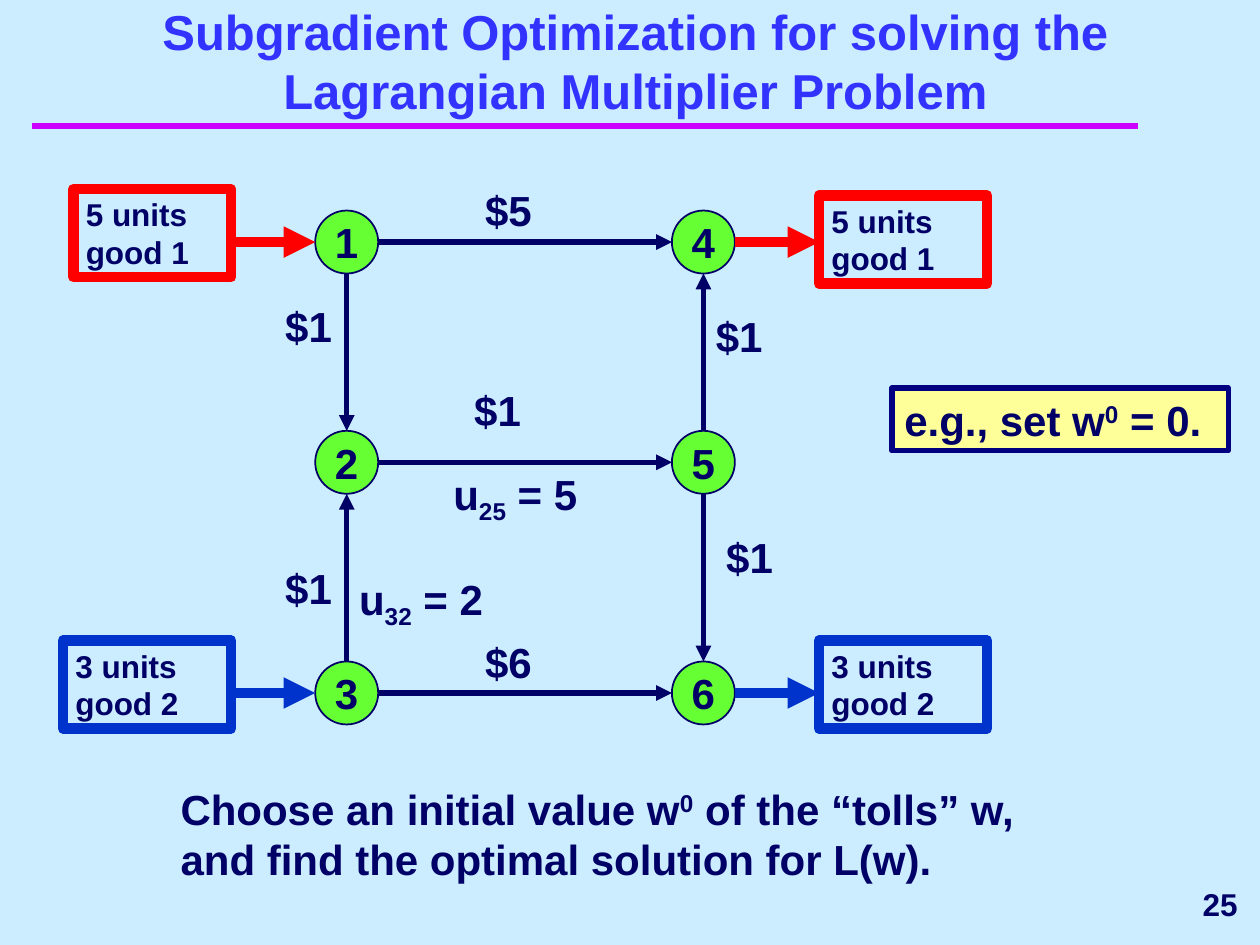
from dataclasses import dataclass
from typing import NamedTuple

from lxml.etree import SubElement
from pptx import Presentation
from pptx.dml.color import RGBColor
from pptx.enum.shapes import MSO_CONNECTOR, MSO_SHAPE
from pptx.enum.text import MSO_ANCHOR, MSO_AUTO_SIZE, PP_ALIGN
from pptx.oxml.ns import qn
from pptx.util import Cm, Pt


@dataclass(frozen=True)
class Theme:
    font: str = "Arial"
    back: str = "CCECFF"
    ink: str = "000066"
    head: str = "3333FF"
    rule: str = "CC00FF"
    node: str = "66FF33"
    note: str = "FFFF99"
    edge: str = "000080"
    red: str = "FF0000"
    blue: str = "0033CC"
    title: int = 28
    body: int = 24
    small: int = 18


class Box(NamedTuple):
    left: float
    top: float
    width: float
    height: float


class Label(NamedTuple):
    box: Box
    texts: tuple[str, ...]
    shift: int = 0


class Flow(NamedTuple):
    """Supply or demand: its box, its arrow and its colour."""
    box: Box
    text: str
    start: float
    row: float
    color: str


THEME = Theme()
SIZE = 1.27
HALF = SIZE / 2
COLS = (6.99, 14.18)
ROWS = (4.88, 9.32, 13.97)
NODES = {str(3 * c + r + 1): (x, y)
         for c, x in enumerate(COLS) for r, y in enumerate(ROWS)}
ARCS = ("12", "32", "25", "14", "54", "56", "36")
REACH = 1.7
LABELS = (
    Label(Box(9.53, 3.6, 1.7, SIZE), ("$5",)),
    Label(Box(9.31, 7.62, 2.96, SIZE), ("$1",)),
    Label(Box(9.53, 12.7, 1.48, SIZE), ("$6",)),
    Label(Box(5.5, 11.22, 1.48, SIZE), ("$1",)),
    Label(Box(5.5, 5.93, 1.48, SIZE), ("$1",)),
    Label(Box(14.18, 6.14, 1.7, SIZE), ("$1",)),
    Label(Box(14.39, 10.58, 1.48, SIZE), ("$1",)),
    Label(Box(8.89, 9.31, 4.87, 1.42), ("u", "25", " = 5"), -25),
    Label(Box(6.99, 11.43, 4.87, 1.42), ("u", "32", " = 2"), -25),
    Label(Box(3.39, 15.66, 18.84, 2.29),
          ("Choose an initial value w", "0",
           " of the “tolls” w, and find the optimal solution for L(w)."), 30),
)
IN, OUT = COLS[0] - HALF - REACH, COLS[1] + HALF
FLOWS = (
    Flow(Box(1.48, 3.81, 3.18, 1.78), "5 units good 1", IN, ROWS[0], THEME.red),
    Flow(Box(16.51, 3.94, 3.39, 1.78), "5 units good 1", OUT, ROWS[0], THEME.red),
    Flow(Box(1.27, 12.91, 3.39, 1.78), "3 units good 2", IN, ROWS[2], THEME.blue),
    Flow(Box(16.51, 12.91, 3.39, 1.78), "3 units good 2", OUT, ROWS[2], THEME.blue),
)


def rgb(code: str) -> RGBColor:
    return RGBColor.from_string(code)


def apply(item, values: dict) -> None:
    for name, value in values.items():
        setattr(item, name, value)


def write(shape, texts: tuple[str, ...], size: int = THEME.body,
          color: str = THEME.ink, align=PP_ALIGN.LEFT,
          anchor=MSO_ANCHOR.TOP, wrap: bool = True, shift: int = 0) -> None:
    """Write the texts as runs; every second one is raised by shift percent."""
    frame = shape.text_frame
    apply(frame, {"auto_size": MSO_AUTO_SIZE.NONE, "word_wrap": wrap,
                  "vertical_anchor": anchor})
    para = frame.paragraphs[0]
    para.alignment = align
    for index, text in enumerate(texts):
        run = para.add_run()
        run.text = text
        apply(run.font, {"name": THEME.font, "size": Pt(size), "bold": True})
        run.font.color.rgb = rgb(color)
        if index % 2:
            run.font._element.set("baseline", str(shift * 1000))


def place(box: Box) -> list[Cm]:
    return [Cm(value) for value in box]


def draw_line(slide, start: tuple, end: tuple, color: str, width: float,
              arrow: bool = True) -> None:
    line = slide.shapes.add_connector(
        MSO_CONNECTOR.STRAIGHT, *[Cm(value) for value in (*start, *end)])
    line.line.color.rgb = rgb(color)
    line.line.width = Pt(width)
    props = line._element.spPr
    if arrow:
        SubElement(props.get_or_add_ln(), qn("a:tailEnd"), type="triangle")
    SubElement(props, qn("a:effectLst"))


def draw_shape(slide, kind, box: Box, edge: str, width: float,
               fill: str | None = None):
    shape = slide.shapes.add_shape(kind, *place(box))
    shape.shadow.inherit = False
    if fill:
        shape.fill.solid()
        shape.fill.fore_color.rgb = rgb(fill)
    else:
        shape.fill.background()
    shape.line.color.rgb = rgb(edge)
    shape.line.width = Pt(width)
    return shape


def draw_text(slide, label: Label, **style) -> None:
    shape = slide.shapes.add_textbox(*place(label.box))
    write(shape, label.texts, shift=label.shift, **style)


def draw_node(slide, name: str, x: float, y: float) -> None:
    disc = draw_shape(slide, MSO_SHAPE.OVAL, Box(x - HALF, y - HALF, SIZE, SIZE),
                      THEME.ink, 1, THEME.node)
    write(disc, (name,), align=PP_ALIGN.CENTER, anchor=MSO_ANCHOR.MIDDLE,
          wrap=False)


def draw_arc(slide, tail: str, head: str) -> None:
    """Join two nodes of one row or column from rim to rim."""
    (x1, y1), (x2, y2) = NODES[tail], NODES[head]
    dx = HALF * ((x2 > x1) - (x2 < x1))
    dy = HALF * ((y2 > y1) - (y2 < y1))
    draw_line(slide, (x1 + dx, y1 + dy), (x2 - dx, y2 - dy), THEME.ink, 3)


def draw_flow(slide, flow: Flow) -> None:
    draw_line(slide, (flow.start, flow.row), (flow.start + REACH, flow.row),
              flow.color, 6)
    frame = draw_shape(slide, MSO_SHAPE.RECTANGLE, flow.box, flow.color, 6)
    write(frame, (flow.text,), THEME.small)


def main() -> None:
    deck = Presentation()
    apply(deck, {"slide_width": Cm(25.4), "slide_height": Cm(19.05)})
    slide = deck.slides.add_slide(deck.slide_layouts[5])
    slide.background.fill.solid()
    slide.background.fill.fore_color.rgb = rgb(THEME.back)

    title = slide.shapes.title
    apply(title, dict(zip(Box._fields, place(Box(1.06, 1.48, 23.5, 1.06)))))
    write(title, ("Subgradient Optimization for solving the "
                  "Lagrangian Multiplier Problem",), THEME.title, THEME.head,
          PP_ALIGN.CENTER, MSO_ANCHOR.BOTTOM)
    draw_line(slide, (0.64, 2.54), (22.94, 2.54), THEME.rule, 4, arrow=False)

    for name, (x, y) in NODES.items():
        draw_node(slide, name, x, y)
    for tail, head in ARCS:
        draw_arc(slide, tail, head)
    for flow in FLOWS:
        draw_flow(slide, flow)
    for label in LABELS:
        draw_text(slide, label)

    note = draw_shape(slide, MSO_SHAPE.RECTANGLE, Box(17.98, 7.82, 6.78, SIZE),
                      THEME.edge, 3, THEME.note)
    write(note, ("e.g., set w", "0", " = 0."), shift=30)
    draw_text(slide, Label(Box(20.32, 17.58, 4.88, SIZE), ("25",)),
              size=THEME.small, align=PP_ALIGN.RIGHT, anchor=MSO_ANCHOR.MIDDLE)
    deck.save("out.pptx")


if __name__ == "__main__":
    main()
